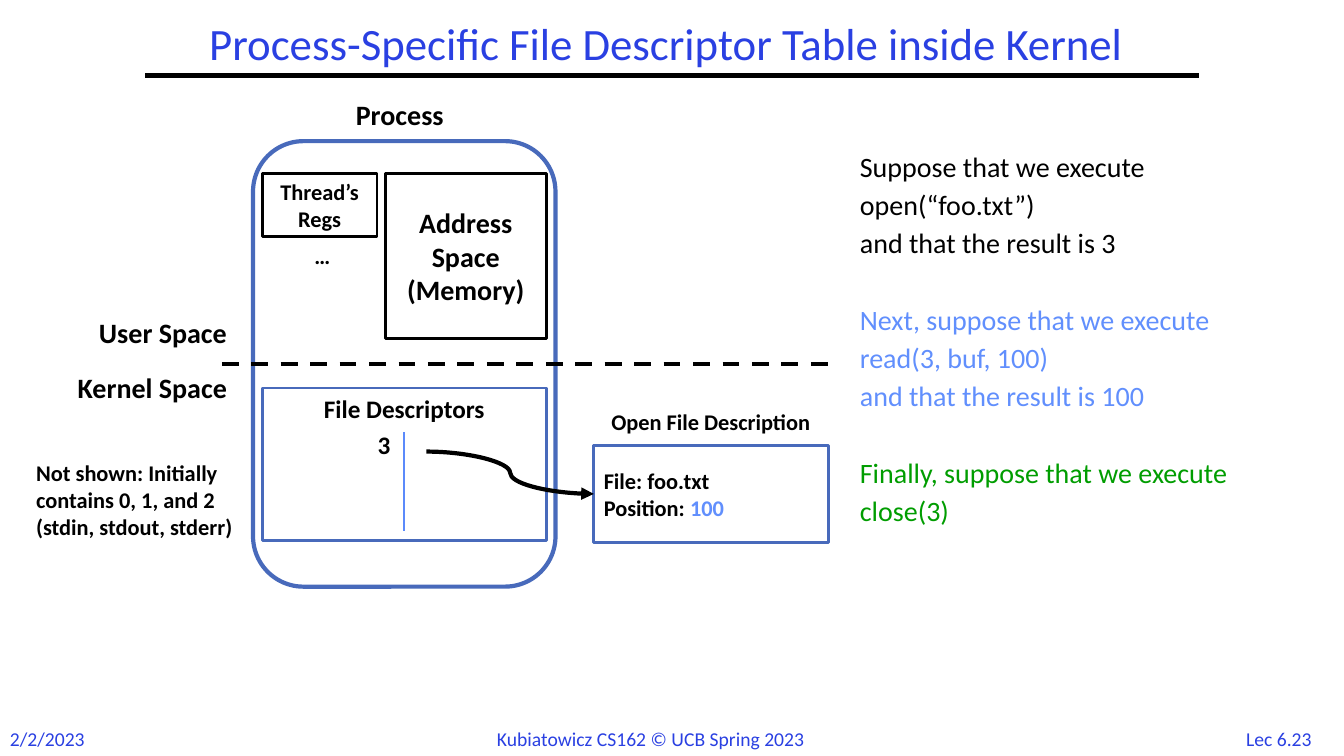
from dataclasses import dataclass

from lxml.etree import SubElement
from pptx import Presentation
from pptx.dml.color import RGBColor
from pptx.enum.dml import MSO_LINE
from pptx.enum.shapes import MSO_CONNECTOR, MSO_SHAPE
from pptx.enum.text import MSO_ANCHOR, PP_ALIGN
from pptx.oxml.ns import qn
from pptx.util import Pt


@dataclass(frozen=True)
class Theme:
    font: str = "Calibri"
    black: RGBColor = RGBColor(0x00, 0x00, 0x00)
    white: RGBColor = RGBColor(0xFF, 0xFF, 0xFF)
    heading: RGBColor = RGBColor(0x2A, 0x40, 0xE2)
    outline: RGBColor = RGBColor(0x48, 0x6A, 0xBB)
    divider: RGBColor = RGBColor(0x5B, 0x8A, 0xFB)
    read: RGBColor = RGBColor(0x61, 0x8F, 0xFD)
    close: RGBColor = RGBColor(0x00, 0x9D, 0x00)
    title_size: int = 32
    large: int = 20
    medium: int = 18
    small: int = 16
    footer: int = 14


theme = Theme()
PX = 9144
LEFT, CENTER, RIGHT = PP_ALIGN.LEFT, PP_ALIGN.CENTER, PP_ALIGN.RIGHT

prs = Presentation()
prs.slide_width, prs.slide_height = 1333 * PX, 750 * PX
slide = prs.slides.add_slide(prs.slide_layouts[6])
shapes = slide.shapes


def write(shape, lines, size, color=theme.black, bold=True, align=LEFT,
          anchor=MSO_ANCHOR.TOP, wrap=True):
    frame = shape.text_frame
    frame.word_wrap = wrap
    frame.vertical_anchor = anchor
    frame.text = "\n".join(lines)
    for paragraph in frame.paragraphs:
        paragraph.alignment = align
        paragraph.font.name = theme.font
        paragraph.font.size = Pt(size)
        paragraph.font.bold = bold
        paragraph.font.color.rgb = color
    return frame


def connect(kind, ends, color, width):
    connector = shapes.add_connector(kind, *(end * PX for end in ends))
    connector.line.color.rgb = color
    connector.line.width = Pt(width)
    SubElement(connector._element.spPr, qn("a:effectLst"))
    return connector


footers = [
    ((1220, 716, 97, 33), "Lec 6.23", CENTER),
    ((0, 716, 96, 34), "2/2/2023", LEFT),
    ((483, 716, 368, 34), "Kubiatowicz CS162 © UCB Spring 2023", LEFT),
]
for place, text, align in footers:
    footer = shapes.add_textbox(*(side * PX for side in place))
    write(footer, [text], theme.footer, theme.heading, False, align, wrap=False)

connect(MSO_CONNECTOR.STRAIGHT, (144, 75, 1189, 75), theme.black, 3)
title = shapes.add_textbox(144 * PX, 17 * PX, 1034 * PX, 58 * PX)
title_frame = write(title, ["Process-Specific File Descriptor Table inside Kernel"],
                    theme.title_size, theme.heading, False, CENTER, MSO_ANCHOR.MIDDLE)
title_frame.paragraphs[0].line_spacing = 0.9

steps = [
    (["Suppose that we execute", "open(“foo.txt”)", "and that the result is 3"], theme.black),
    (["Next, suppose that we execute", "read(3, buf, 100)",
      "and that the result is 100"], theme.read),
    (["Finally, suppose that we execute", "close(3)"], theme.close),
]
scenario = shapes.add_textbox(843 * PX, 147 * PX, 440 * PX, 476 * PX)
scenario_frame = write(scenario, [line for lines, _ in steps for line in lines],
                       theme.large, bold=False)
scenario_lines = iter(scenario_frame.paragraphs)
for step, (lines, color) in enumerate(steps):
    for row in range(len(lines)):
        paragraph = next(scenario_lines)
        paragraph.line_spacing = 0.9
        paragraph.font.color.rgb = color
        if row:
            paragraph.space_before = Pt(5.6)
        elif step:
            paragraph.space_before = Pt(33.2)

process = shapes.add_shape(MSO_SHAPE.ROUNDED_RECTANGLE,
                           251 * PX, 140 * PX, 300 * PX, 442 * PX)
process.shadow.inherit = False
process.fill.background()
process.line.color.rgb = theme.outline
process.line.width = Pt(3)

kernel_boundary = connect(MSO_CONNECTOR.STRAIGHT, (220, 361, 822, 361), theme.black, 3)
kernel_boundary.line.dash_style = MSO_LINE.DASH

boxes = [
    ((382, 172, 160, 164), ["Address Space (Memory)"], theme.large, theme.black,
     CENTER, MSO_ANCHOR.MIDDLE),
    ((260, 172, 114, 63), ["Thread’s Regs"], theme.small, theme.black,
     CENTER, MSO_ANCHOR.MIDDLE),
    ((260, 385, 282, 151), ["File Descriptors"], theme.medium, theme.outline,
     CENTER, MSO_ANCHOR.TOP),
    ((589, 442, 233, 96), ["File: foo.txt", "Position: "], theme.small, theme.outline,
     LEFT, MSO_ANCHOR.MIDDLE),
]
for place, lines, size, outline, align, anchor in boxes:
    box = shapes.add_shape(MSO_SHAPE.RECTANGLE, *(side * PX for side in place))
    box.shadow.inherit = False
    box.fill.solid()
    box.fill.fore_color.rgb = theme.white
    box.line.color.rgb = outline
    box.line.width = Pt(2)
    box_frame = write(box, lines, size, align=align, anchor=anchor)
    if lines[-1] == "Position: ":
        position = box_frame.paragraphs[-1].add_run()
        position.text = "100"
        position.font.color.rgb = theme.read

connect(MSO_CONNECTOR.STRAIGHT, (401, 429, 401, 527), theme.divider, 1.5)

labels = [
    ((62, 308, 173, 44), "User Space", theme.large, RIGHT, False),
    ((37, 363, 198, 44), "Kernel Space", theme.large, RIGHT, False),
    ((26, 451, 221, 118), "Not shown: Initially contains 0, 1, and 2 (stdin, stdout, stderr)",
     theme.small, LEFT, True),
    ((363, 421, 34, 40), "3", theme.medium, RIGHT, False),
    ((579, 400, 252, 37), "Open File Description", theme.small, CENTER, False),
    ((332, 92, 129, 44), "Process", theme.large, CENTER, False),
    ((302, 235, 43, 37), "…", theme.small, LEFT, False),
]
for place, text, size, align, wrap in labels:
    label = shapes.add_textbox(*(side * PX for side in place))
    write(label, [text], size, align=align, wrap=wrap)

descriptor_arrow = connect(MSO_CONNECTOR.CURVE, (423, 448, 589, 490), theme.black, 3)
SubElement(descriptor_arrow.line._get_or_add_ln(), qn("a:tailEnd"), type="triangle")

prs.save("out.pptx")
